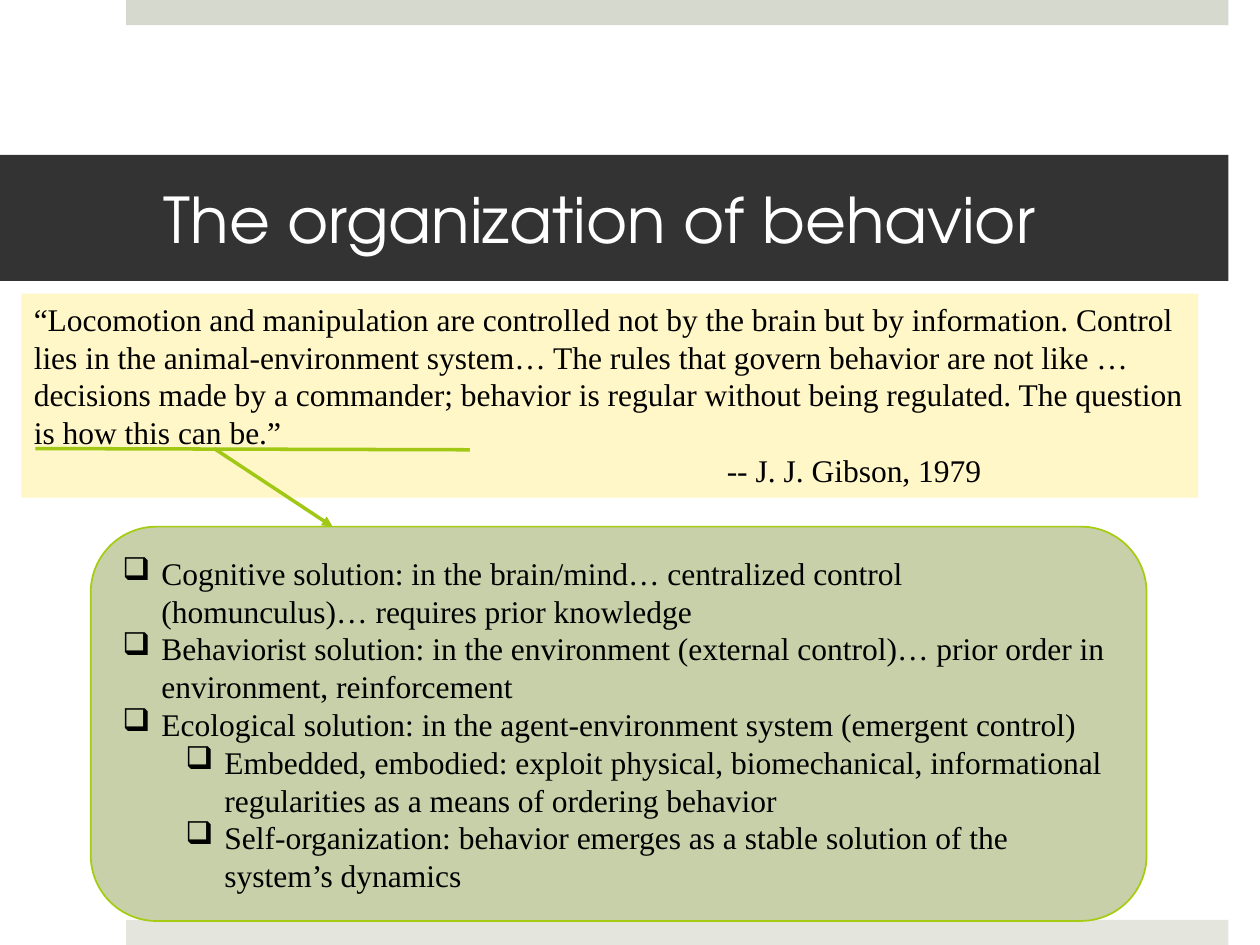
from pptx import Presentation
from pptx.dml.color import RGBColor
from pptx.enum.shapes import MSO_CONNECTOR, MSO_SHAPE
from pptx.enum.text import MSO_ANCHOR, PP_ALIGN
from pptx.oxml.ns import qn
from pptx.util import Inches, Pt
from lxml import etree

RECTANGLE = MSO_SHAPE.RECTANGLE
ROUNDED = MSO_SHAPE.ROUNDED_RECTANGLE
STRAIGHT = MSO_CONNECTOR.STRAIGHT
TOP, MIDDLE = MSO_ANCHOR.TOP, MSO_ANCHOR.MIDDLE
LEFT = PP_ALIGN.LEFT

TOP_BAND = RGBColor(0xD6, 0xD9, 0xCD)
BOTTOM_BAND = RGBColor(0xE4, 0xE6, 0xDE)
CHARCOAL = RGBColor(0x33, 0x33, 0x33)
CREAM = RGBColor(0xFF, 0xF7, 0xC7)
SAGE = RGBColor(0xC7, 0xD0, 0xA9)
OUTLINE = RGBColor(0xA5, 0xCC, 0x12)
LIME = RGBColor(0xA2, 0xC8, 0x16)
WHITE = RGBColor(0xFF, 0xFF, 0xFF)
BLACK = RGBColor(0, 0, 0)

TITLE_FONT, BODY_FONT = "TeX Gyre Adventor", "Times New Roman"
WIDTH, HEIGHT = 10, 7.5
BAND_HEIGHT = 0.2
BULLET_HANG = 0.31
LEVEL_INDENT = 0.5

QUOTE = (
    "“Locomotion and manipulation are controlled not by the brain but by "
    "information. Control lies in the animal-environment system… The rules "
    "that govern behavior are not like …decisions made by a commander; "
    "behavior is regular without being regulated. The question is how this "
    "can be.”"
)
ATTRIBUTION = "-- J. J. Gibson, 1979"
SOLUTIONS = [
    (0, "Cognitive solution: in the brain/mind… centralized control "
        "(homunculus)… requires prior knowledge"),
    (0, "Behaviorist solution: in the environment (external control)… prior "
        "order in environment, reinforcement"),
    (0, "Ecological solution: in the agent-environment system (emergent control)"),
    (1, "Embedded, embodied: exploit physical, biomechanical, informational "
        "regularities as a means of ordering behavior"),
    (1, "Self-organization: behavior emerges as a stable solution of the "
        "system’s dynamics"),
]


def add_box(slide, box, fill, kind=RECTANGLE, outline=None):
    shape = slide.shapes.add_shape(kind, *map(Inches, box))
    shape.shadow.inherit = False
    shape.fill.solid()
    shape.fill.fore_color.rgb = fill
    if outline is None:
        shape.line.fill.background()
    else:
        shape.line.color.rgb = outline
        shape.line.width = Pt(1)
    return shape


def write_text(shape, lines, font=BODY_FONT, size=18, color=BLACK, anchor=MIDDLE):
    """Fill the shape with one left-aligned paragraph per line."""
    frame = shape.text_frame
    frame.word_wrap = True
    frame.vertical_anchor = anchor
    frame.text = "\n".join(lines)
    for paragraph in frame.paragraphs:
        paragraph.alignment = LEFT
        for run in paragraph.runs:
            run.font.name = font
            run.font.size = Pt(size)
            run.font.color.rgb = color
    return frame


def indent(paragraph, left, hanging=0):
    properties = paragraph._p.get_or_add_pPr()
    properties.set("marL", str(Inches(left)))
    properties.set("indent", str(-Inches(hanging)))
    return properties


def add_line(slide, start, end, arrow=False):
    line = slide.shapes.add_connector(STRAIGHT, *map(Inches, (*start, *end)))
    line.line.color.rgb = LIME
    line.line.width = Pt(2)
    if arrow:
        outline = line.line._get_or_add_ln()
        etree.SubElement(outline, qn("a:tailEnd"), type="triangle")
    etree.SubElement(line._element.spPr, qn("a:effectLst"))


def add_bands(slide, left, width):
    add_box(slide, (left, 0, width, BAND_HEIGHT), TOP_BAND)
    add_box(slide, (left, HEIGHT - BAND_HEIGHT, width, BAND_HEIGHT), BOTTOM_BAND)


def add_title(slide, box, title):
    frame = write_text(add_box(slide, box, CHARCOAL), [title], TITLE_FONT, 36, WHITE)
    frame.margin_left = Inches(1.3)
    frame.margin_right = Inches(0.3)


def add_quote(slide, box):
    frame = write_text(add_box(slide, box, CREAM), [QUOTE, ATTRIBUTION], anchor=TOP)
    indent(frame.paragraphs[1], 5.5)


def add_solutions(slide, box):
    panel = add_box(slide, box, SAGE, ROUNDED, OUTLINE)
    frame = write_text(panel, [text for _, text in SOLUTIONS])
    for paragraph, (level, _) in zip(frame.paragraphs, SOLUTIONS):
        paragraph.level = level
        properties = indent(paragraph, BULLET_HANG + level * LEVEL_INDENT, BULLET_HANG)
        etree.SubElement(properties, qn("a:buChar"), char="❑")


def add_question_pointer(slide, quote_box, solutions_box):
    """Underline the closing question and point from it to the solutions."""
    left, top = quote_box[:2]
    underline = top + 1.23
    add_line(slide, (left + 0.11, underline), (left + 3.56, underline + 0.01))
    add_line(slide, (left + 1.53, underline),
             (solutions_box[0] + 1.92, solutions_box[1]), arrow=True)


def main():
    presentation = Presentation()
    presentation.slide_width = Inches(WIDTH)
    presentation.slide_height = Inches(HEIGHT)
    slide = presentation.slides.add_slide(presentation.slide_layouts[6])
    quote_box = (0.17, 2.33, 9.34, 1.62)
    solutions_box = (0.72, 4.18, 8.38, 3.13)
    add_bands(slide, 1, 8.75)
    add_title(slide, (0, 1.23, 9.75, 1), "The organization of behavior")
    add_quote(slide, quote_box)
    add_solutions(slide, solutions_box)
    add_question_pointer(slide, quote_box, solutions_box)
    presentation.save("out.pptx")


if __name__ == "__main__":
    main()
